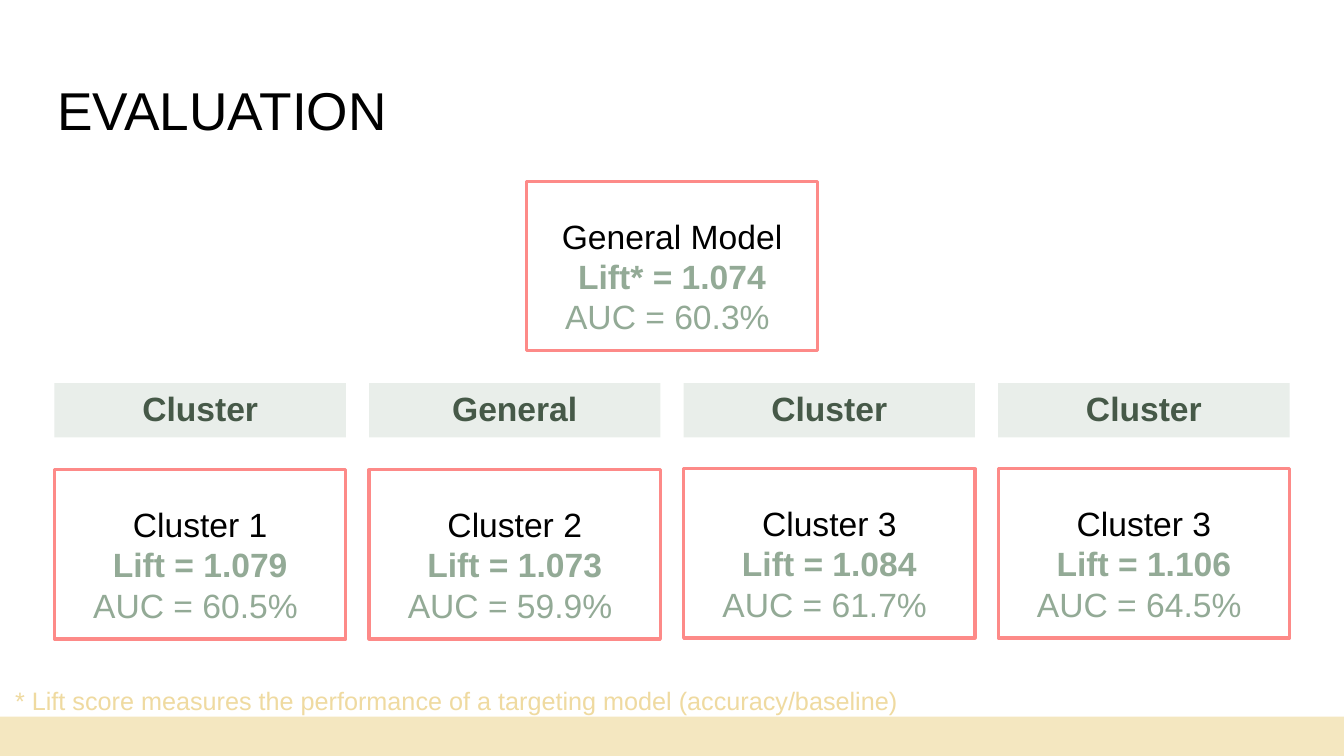
from pptx import Presentation
from pptx.dml.color import RGBColor
from pptx.enum.shapes import MSO_SHAPE
from pptx.enum.text import MSO_ANCHOR, MSO_AUTO_SIZE, PP_ALIGN
from pptx.util import Pt

PX = 9144  # 100 px to the inch
COLORS = {
    "black": "000000", "coral": "FD8A88", "sage": "93AA96", "mist": "E9EEEA",
    "forest": "465948", "sand": "F4E7C0", "gold": "EFDAA0",
}


class EvaluationSlide:
    font = "Arial"

    def __init__(self, prs):
        self.slide = prs.slides.add_slide(prs.slide_layouts[6])

    def color(self, name):
        return RGBColor.from_string(COLORS[name])

    def style(self, paragraph, size, color, bold=False):
        for run in paragraph.runs:
            run.font.name = self.font
            run.font.size = Pt(size)
            run.font.bold = bold
            run.font.color.rgb = self.color(color)

    def box(self, x, y, w, h, fill=None, line=None):
        rect = self.slide.shapes.add_shape(
            MSO_SHAPE.RECTANGLE, x * PX, y * PX, w * PX, h * PX)
        rect.shadow.inherit = False
        if fill:
            rect.fill.solid()
            rect.fill.fore_color.rgb = self.color(fill)
        else:
            rect.fill.background()
        if line:
            rect.line.color.rgb = self.color(line)
            rect.line.width = Pt(2.25)
        else:
            rect.line.fill.background()
        return rect

    def text(self, x, y, w, h, words, size, color):
        frame = self.slide.shapes.add_textbox(x * PX, y * PX, w * PX, h * PX).text_frame
        frame.text = words
        self.style(frame.paragraphs[0], size, color)
        return frame

    def header(self, x, y, w, h, label):
        frame = self.box(x, y, w, h, fill="mist").text_frame
        frame.word_wrap = True
        frame.vertical_anchor = MSO_ANCHOR.MIDDLE
        frame.text = label
        heading = frame.paragraphs[0]
        heading.alignment = PP_ALIGN.CENTER
        heading.line_spacing = 0.9
        heading.space_before = Pt(10)
        self.style(heading, 24, "forest", bold=True)

    def score_card(self, x, y, w, h, model, lift, auc):
        frame = self.box(x, y, w, h, line="coral").text_frame
        frame.word_wrap = True
        frame.vertical_anchor = MSO_ANCHOR.MIDDLE
        frame.text = f"{model}\n{lift}\nAUC = {auc} "
        looks = [("black", False), ("sage", True), ("sage", False)]
        for paragraph, (color, bold) in zip(frame.paragraphs, looks):
            paragraph.alignment = PP_ALIGN.CENTER
            self.style(paragraph, 24, color, bold)
        frame.paragraphs[0].line_spacing = 1.5
        frame.paragraphs[0].space_before = Pt(10)


def main():
    prs = Presentation()
    prs.slide_width, prs.slide_height = 1333 * PX, 750 * PX
    page = EvaluationSlide(prs)

    # Footer band and title
    page.box(0, 711, 1333, 39, fill="sand")
    title = page.text(47, 40, 1243, 145, "EVALUATION", 38, "black")
    title.word_wrap = True
    title.vertical_anchor = MSO_ANCHOR.MIDDLE
    title.paragraphs[0].line_spacing = 0.9

    # General model above the clusters
    card_w, card_h = 289, 168
    page.score_card(522, 180, card_w, card_h, "General Model", "Lift* = 1.074", "60.3%")

    # One header and one score card per cluster
    left, pitch = 54, 312
    clusters = [
        ("Cluster", "Cluster 1", "1.079", "60.5%", 466),
        ("General", "Cluster 2", "1.073", "59.9%", 466),
        ("Cluster", "Cluster 3", "1.084", "61.7%", 465),
        ("Cluster", "Cluster 3", "1.106", "64.5%", 465),
    ]
    for column, (label, model, lift, auc, top) in enumerate(clusters):
        x = left + column * pitch
        page.header(x, 380, card_w, 54, label)
        page.score_card(x, top, card_w, card_h, model, f"Lift = {lift}", auc)

    # Footnote
    note = page.text(
        15, 680, 884, 30,
        "* Lift score measures the performance of a targeting model (accuracy/baseline)",
        18, "gold")
    note.margin_left = note.margin_right = note.margin_top = note.margin_bottom = 0
    note.word_wrap = False
    note.auto_size = MSO_AUTO_SIZE.SHAPE_TO_FIT_TEXT

    prs.save("out.pptx")


if __name__ == "__main__":
    main()
